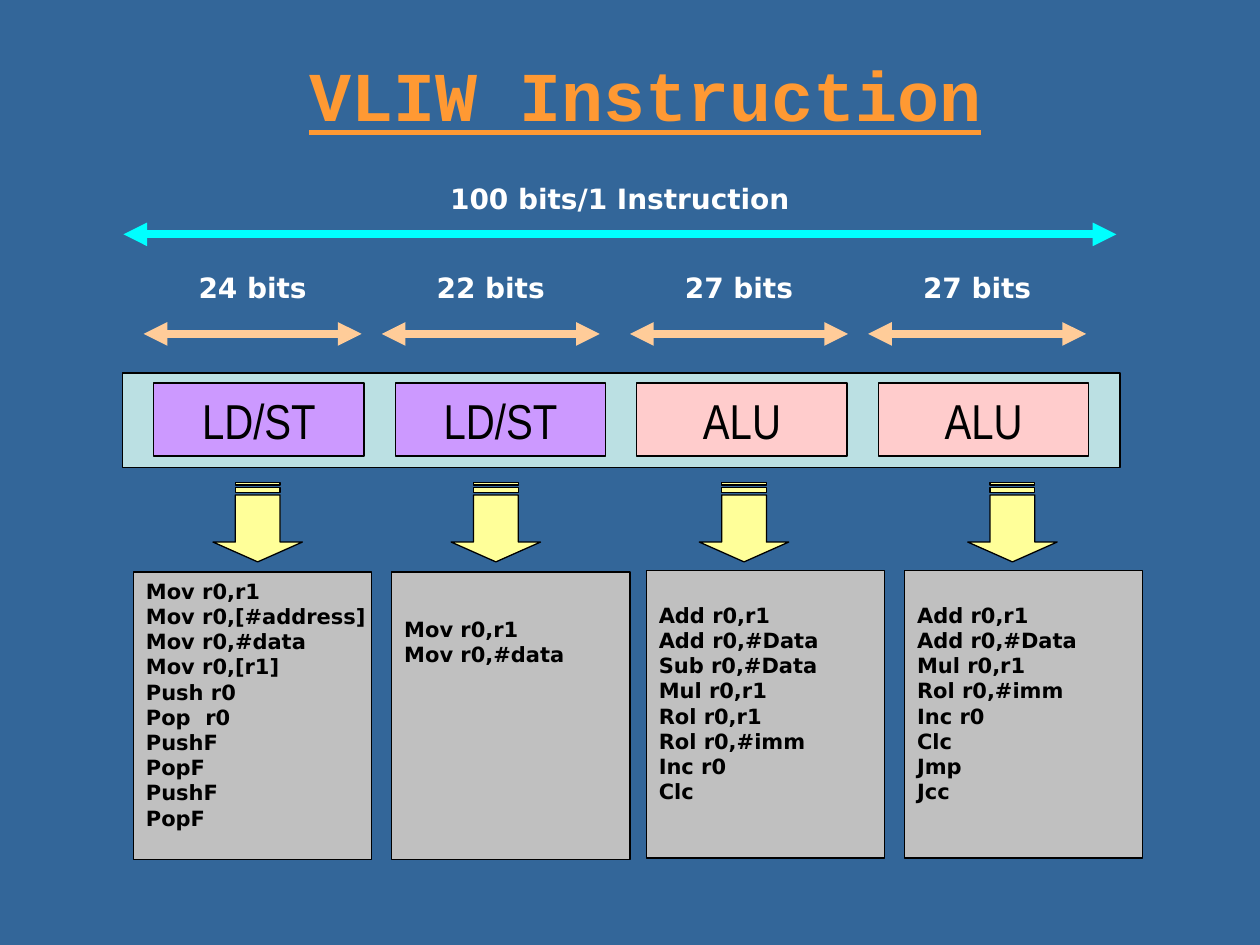
from lxml import etree
from pptx import Presentation
from pptx.dml.color import RGBColor
from pptx.enum import shapes, text
from pptx.oxml.ns import qn
from pptx.util import Inches, Pt

TITLE = "VLIW Instruction"
TOTAL = "100 bits/1 Instruction"
PURPLE, PINK = "CC99FF", "FFCCCC"
SANS = "DejaVu Sans"

# The x values are the left edges of each column's parts; pad is the space above the code.
COLUMNS = [
    dict(bits="24 bits", unit="LD/ST", fill=PURPLE, bits_x=1.14, arrow_x=1.73,
         code_x=1.06, code_y=4.54, pad=0.05,
         code=["Mov r0,r1", "Mov r0,[#address]", "Mov r0,#data", "Mov r0,[r1]", "Push r0",
               "Pop  r0", "PushF", "PopF", "PushF", "PopF"]),
    dict(bits="22 bits", unit="LD/ST", fill=PURPLE, bits_x=3.03, arrow_x=3.62,
         code_x=3.11, code_y=4.54, pad=0.35,
         code=["Mov r0,r1", "Mov r0,#data"]),
    dict(bits="27 bits", unit="ALU", fill=PINK, bits_x=5, arrow_x=5.59,
         code_x=5.13, code_y=4.53, pad=0.25,
         code=["Add r0,r1", "Add r0,#Data", "Sub r0,#Data", "Mul r0,r1", "Rol r0,r1",
               "Rol r0,#imm", "Inc r0", "Clc"]),
    dict(bits="27 bits", unit="ALU", fill=PINK, bits_x=6.89, arrow_x=7.72,
         code_x=7.18, code_y=4.53, pad=0.25,
         code=["Add r0,r1", "Add r0,#Data", "Mul r0,r1", "Rol r0,#imm", "Inc r0", "Clc",
               "Jmp", "Jcc"]),
]
UNIT_X, UNIT_W, UNIT_PITCH = 1.22, 1.67, 1.917
BITS_W = 1.73


def rgb(color):
    return RGBColor.from_string(color)


def write(sp, lines, size, font, color, bold=False, underline=False,
          align=text.PP_ALIGN.CENTER, spacing=None):
    tf = sp.text_frame
    tf.word_wrap = True
    for i, line in enumerate(lines):
        p = tf.add_paragraph() if i else tf.paragraphs[0]
        p.alignment = align
        if spacing:
            p.line_spacing = Pt(spacing)
        r = p.add_run()
        r.text = line
        r.font.size, r.font.name = Pt(size), font
        r.font.bold, r.font.underline = bold, underline
        r.font.color.rgb = rgb(color)
    return tf


def add_label(s, x, y, w, h, label, size=16, font=SANS, color="FFFFFF", underline=False):
    sp = s.shapes.add_textbox(Inches(x), Inches(y), Inches(w), Inches(h))
    write(sp, [label], size, font, color, bold=True, underline=underline)


def add_box(s, x, y, w, h, fill, kind=shapes.MSO_SHAPE.RECTANGLE):
    sp = s.shapes.add_shape(kind, Inches(x), Inches(y), Inches(w), Inches(h))
    sp.shadow.inherit = False
    sp.fill.solid()
    sp.fill.fore_color.rgb = rgb(fill)
    sp.line.color.rgb = rgb("000000")
    sp.line.width = Pt(0.75)
    return sp


def add_span(s, x1, x2, y, color):
    """Horizontal line with an arrowhead at both ends."""
    c = s.shapes.add_connector(shapes.MSO_CONNECTOR.STRAIGHT,
                               Inches(x1), Inches(y), Inches(x2), Inches(y))
    c.line.color.rgb = rgb(color)
    c.line.width = Pt(4.5)
    ln = c.line._get_or_add_ln()
    for end in ("a:headEnd", "a:tailEnd"):
        etree.SubElement(ln, qn(end), type="triangle")
    etree.SubElement(c._element.spPr, qn("a:effectLst"))


def add_column(s, i, col):
    x = col["bits_x"]
    add_label(s, x, 2.1, BITS_W, 0.37, col["bits"])
    add_span(s, x, x + BITS_W, 2.65, "FFCC99")

    unit = add_box(s, UNIT_X + i * UNIT_PITCH, 3.04, UNIT_W, 0.58, col["fill"])
    tf = write(unit, [col["unit"]], 28, "Arial Narrow", "000000")
    tf.vertical_anchor = text.MSO_ANCHOR.MIDDLE

    arrow = add_box(s, col["arrow_x"], 3.79, 0.63, 0.71, "FFFF99",
                    shapes.MSO_SHAPE.STRIPED_RIGHT_ARROW)
    arrow.rotation = 90
    arrow.adjustments[0], arrow.adjustments[1] = 0.5, 0.25

    listing = add_box(s, col["code_x"], col["code_y"], 1.89, 2.28, "C0C0C0")
    tf = write(listing, col["code"], 12, SANS, "000000", bold=True,
               align=text.PP_ALIGN.LEFT, spacing=14.4)
    tf.vertical_anchor = text.MSO_ANCHOR.TOP
    tf.margin_top, tf.margin_right = Inches(col["pad"]), 0


def main():
    prs = Presentation()
    prs.slide_width, prs.slide_height = Inches(10), Inches(7.5)
    s = prs.slides.add_slide(prs.slide_layouts[6])
    s.background.fill.solid()
    s.background.fill.fore_color.rgb = rgb("336699")

    add_label(s, 2.01, 0.36, 6.22, 0.77, TITLE, 40, "Courier New", "FF9933", underline=True)
    add_label(s, 2.95, 1.39, 3.94, 0.37, TOTAL)
    add_span(s, 0.98, 8.86, 1.86, "00FFFF")
    add_box(s, 0.97, 2.96, 7.92, 0.75, "BBE0E3")
    for i, col in enumerate(COLUMNS):
        add_column(s, i, col)
    prs.save("out.pptx")


if __name__ == "__main__":
    main()
